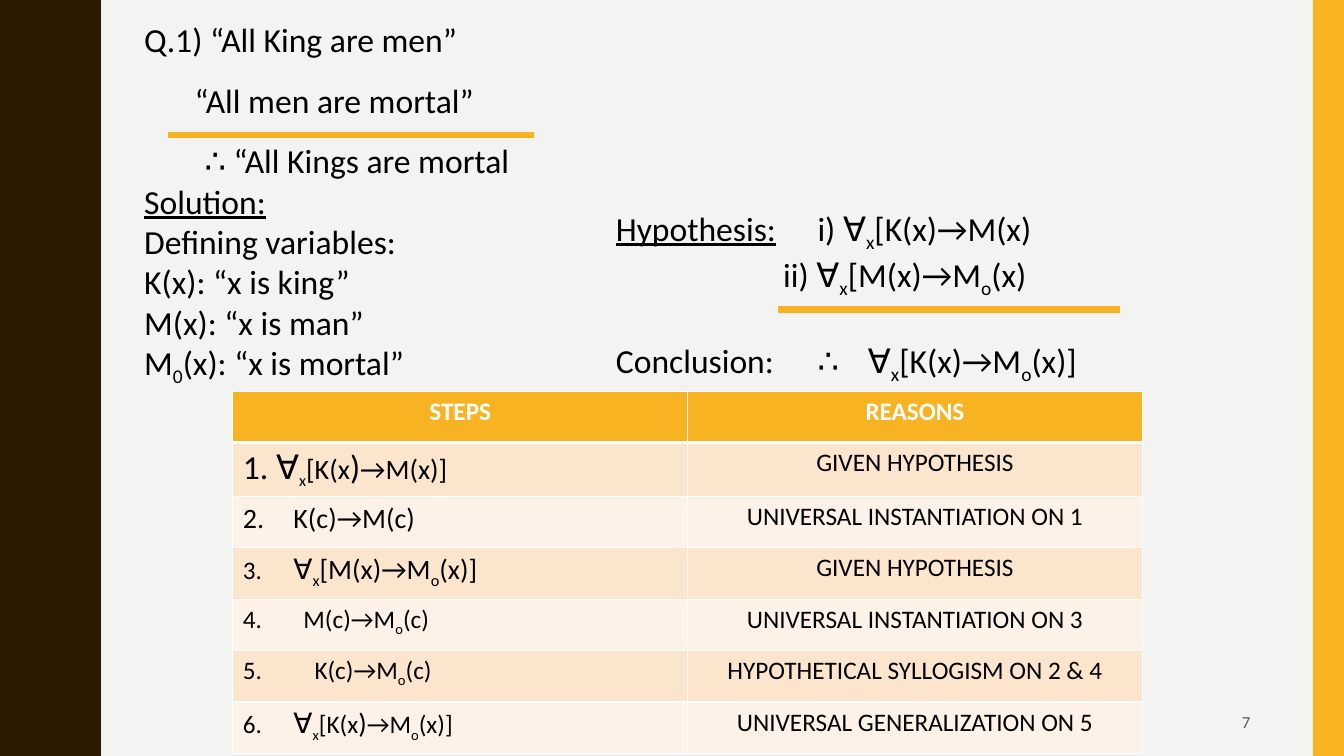
from lxml.etree import SubElement
from pptx import Presentation
from pptx.dml.color import RGBColor
from pptx.enum.shapes import MSO_CONNECTOR, MSO_SHAPE
from pptx.enum.text import MSO_ANCHOR, MSO_AUTO_SIZE, PP_ALIGN
from pptx.oxml.ns import qn
from pptx.util import Inches, Pt

FONT = "Calibri"
BLACK, WHITE, GREY = "000000", "FFFFFF", "595959"
BROWN, AMBER, PAPER = "2A1A00", "F8B323", "F3F3F2"
BANDS = ["FCE5CD", "FEF2E8"]

# Each line: text, left indent, line spacing; ~ encloses subscripts
PROBLEM = [
    ("Q.1) “All King are men”", 0, 1),
    ("“All men are mortal”", 0.5, 1.5),
    ("∴ “All Kings are mortal", 0.6, 1.5),
    ("Solution:", 0, 1),
    ("Defining variables:", 0, 1),
    ("K(x): “x is king”", 0, 1),
    ("M(x): “x is man”", 0, 1),
    ("M~0~(x): “x is mortal”", 0, 1),
]
# Each line: pieces, left indent, tab stops, space before
ARGUMENT = [
    (["Hypothesis:", "\ti) ∀~x~[K(x)→M(x)"], 0, [1.74], 0),
    (["ii) ∀~x~[M(x)→M~o~(x)"], 1.66, [], 0),
    (["Conclusion:\t∴\t∀~x~[K(x)→M~o~(x)]"], 0, [2.17, 2.54], 29),
]
# Each step: sized pieces, offset of the formula, automatic number, reason
STEPS = [
    ([("1. ∀", 24), ("~x~[K(x", 20), (")", 24), ("→M(x)]", 20)], 0, None,
     "GIVEN HYPOTHESIS"),
    ([("2.\tK(c)→M(c)", 20)], 0.59, None, "UNIVERSAL INSTANTIATION ON 1"),
    ([("3.\t", 18), ("∀~x~[M(x)→M~o~(x)]", 20)], 0.31, None, "GIVEN HYPOTHESIS"),
    ([("M(c)→M~o~(c)", 18)], 0.6, 4, "UNIVERSAL INSTANTIATION ON 3"),
    ([("K(c)→M~o~(c)", 18)], 0.71, 5, "HYPOTHETICAL SYLLOGISM ON 2 & 4"),
    ([("6.\t", 18), ("∀", 20), ("~x~[K(x", 18), (")", 20), ("→M~o~(x)]", 18)],
     0.36, None, "UNIVERSAL GENERALIZATION ON 5"),
]


def color(value):
    return RGBColor.from_string(value)


def write(paragraph, pieces, hue=BLACK, bold=False):
    for text, size in pieces:
        for index, part in enumerate(text.split("~")):
            if not part:
                continue
            run = paragraph.add_run()
            run.text = part
            font = run.font
            font.name, font.size, font.bold = FONT, Pt(size), bold
            font.color.rgb = color(hue)
            if index % 2:
                font._element.set("baseline", "-25000")


def set_layout(paragraph, left=0, hanging=0, tabs=(), number=None):
    properties = paragraph._p.get_or_add_pPr()
    properties.set("marL", str(Inches(left)))
    properties.set("indent", str(Inches(-hanging)))
    if number is None:
        SubElement(properties, qn("a:buNone"))
    else:
        SubElement(properties, qn("a:buAutoNum"), type="arabicPeriod", startAt=str(number))
    if tabs:
        tab_list = SubElement(properties, qn("a:tabLst"))
        for position in tabs:
            SubElement(tab_list, qn("a:tab"), pos=str(Inches(position)), algn="l")


def paragraphs(text_frame, count):
    text_frame.word_wrap = True
    for _ in range(count - 1):
        text_frame.add_paragraph()
    return text_frame.paragraphs


def paint(shape, hue):
    shape.shadow.inherit = False
    shape.fill.solid()
    shape.fill.fore_color.rgb = color(hue)
    shape.line.fill.background()


def add_rule(slide, start, end, top):
    rule = slide.shapes.add_connector(
        MSO_CONNECTOR.STRAIGHT, Inches(start), Inches(top), Inches(end), Inches(top))
    rule.line.color.rgb = color(AMBER)
    rule.line.width = Pt(4.5)
    SubElement(rule._element.spPr, qn("a:effectLst"))


def add_frame(slide, width, height):
    # Wavy left edge: one half wave, mirrored and repeated
    wave = 1.5
    depths = [0, 0.07, 0.14, 0.2, 0.25, 0.29, 0.33, 0.38,
              0.42, 0.46, 0.5, 0.55, 0.61, 0.68, 0.75]
    edges = [0.78, 0.78, 0.79, 0.8, 0.81, 0.83, 0.85, 0.87,
             0.89, 0.91, 0.93, 0.95, 0.96, 0.97, 0.97]
    half = list(zip(edges, depths))
    period = half + [(x, wave - y) for x, y in reversed(half[:-1])]
    points = [(x, y + wave * index) for index in range(round(height / wave))
              for x, y in period]
    builder = slide.shapes.build_freeform(0, 0, scale=Inches(1))
    builder.add_line_segments(points + [(0, height)], close=True)
    paint(builder.convert_to_shape(), BROWN)

    # Right bar
    bar = slide.shapes.add_shape(
        MSO_SHAPE.RECTANGLE, Inches(width - 0.31), 0, Inches(0.31), Inches(height))
    paint(bar, AMBER)


def add_problem(slide, left, top, width, height):
    body = slide.placeholders[1]
    body.left, body.top = Inches(left), Inches(top)
    body.width, body.height = Inches(width), Inches(height)
    body.text_frame.auto_size = MSO_AUTO_SIZE.SHAPE_TO_FIT_TEXT
    lines = paragraphs(body.text_frame, len(PROBLEM))
    for paragraph, (text, indent, spacing) in zip(lines, PROBLEM):
        set_layout(paragraph, indent)
        paragraph.space_before = Pt(0)
        paragraph.line_spacing = float(spacing)
        write(paragraph, [(text, 24)])
        paragraph.runs[0].font.underline = text == "Solution:"
    add_rule(slide, left + 3.97, left + 0.34, top + 1.2)


def add_argument(slide, left, top, width, height):
    box = slide.shapes.add_textbox(Inches(left), Inches(top), Inches(width), Inches(height))
    lines = paragraphs(box.text_frame, len(ARGUMENT))
    for paragraph, (pieces, indent, tabs, gap) in zip(lines, ARGUMENT):
        set_layout(paragraph, indent, tabs=tabs)
        paragraph.space_before = Pt(gap)
        write(paragraph, [(piece, 24) for piece in pieces])
    lines[0].runs[0].font.underline = True
    add_rule(slide, left + 5.1, left + 1.71, top + 1.06)


def style_cell(cell, hue, bottom=1):
    properties = cell._tc.get_or_add_tcPr()
    for side, points in (("L", 1), ("R", 1), ("T", 1), ("B", bottom)):
        border = SubElement(properties, qn("a:ln" + side), w=str(Pt(points)))
        fill = SubElement(border, qn("a:solidFill"))
        SubElement(fill, qn("a:srgbClr"), val=WHITE)
    cell.fill.solid()
    cell.fill.fore_color.rgb = color(hue)


def add_proof(slide, left, top, width, row_height):
    count = len(STEPS) + 1
    table = slide.shapes.add_table(
        count, 2, Inches(left), Inches(top), Inches(width), Inches(row_height * count)).table

    # Header
    for cell, heading in zip(table.rows[0].cells, ["STEPS", "REASONS"]):
        style_cell(cell, AMBER, bottom=3)
        paragraph = cell.text_frame.paragraphs[0]
        paragraph.alignment = PP_ALIGN.CENTER
        write(paragraph, [(heading, 18)], WHITE, bold=True)

    # Steps and reasons
    for index, (pieces, offset, number, reason) in enumerate(STEPS):
        step_cell, reason_cell = table.rows[index + 1].cells
        for cell in (step_cell, reason_cell):
            style_cell(cell, BANDS[index % 2])
        paragraph = step_cell.text_frame.paragraphs[0]
        if number:
            set_layout(paragraph, offset, hanging=offset, number=number)
        elif offset:
            set_layout(paragraph, tabs=[offset])
        write(paragraph, pieces)
        paragraph = reason_cell.text_frame.paragraphs[0]
        paragraph.alignment = PP_ALIGN.CENTER
        write(paragraph, [(reason, 18)])


def add_page_number(slide, left, top, width, height):
    box = slide.shapes.add_textbox(Inches(left), Inches(top), Inches(width), Inches(height))
    box.text_frame.vertical_anchor = MSO_ANCHOR.MIDDLE
    paragraph = paragraphs(box.text_frame, 1)[0]
    paragraph.alignment = PP_ALIGN.RIGHT
    write(paragraph, [("7", 12)], GREY)


def main():
    presentation = Presentation()
    presentation.slide_width, presentation.slide_height = Inches(13.33), Inches(7.5)
    slide = presentation.slides.add_slide(presentation.slide_layouts[1])
    title = slide.shapes.title._element
    title.getparent().remove(title)
    slide.background.fill.solid()
    slide.background.fill.fore_color.rgb = color(PAPER)

    add_frame(slide, 13.33, 7.5)
    add_page_number(slide, 9.42, 6.97, 3.08, 0.38)
    add_problem(slide, 1.33, 0.14, 11.45, 3.74)
    add_argument(slide, 6.01, 2.01, 5.75, 2.12)
    add_proof(slide, 2.31, 3.88, 9.02, 0.51)
    presentation.save("out.pptx")


if __name__ == "__main__":
    main()
